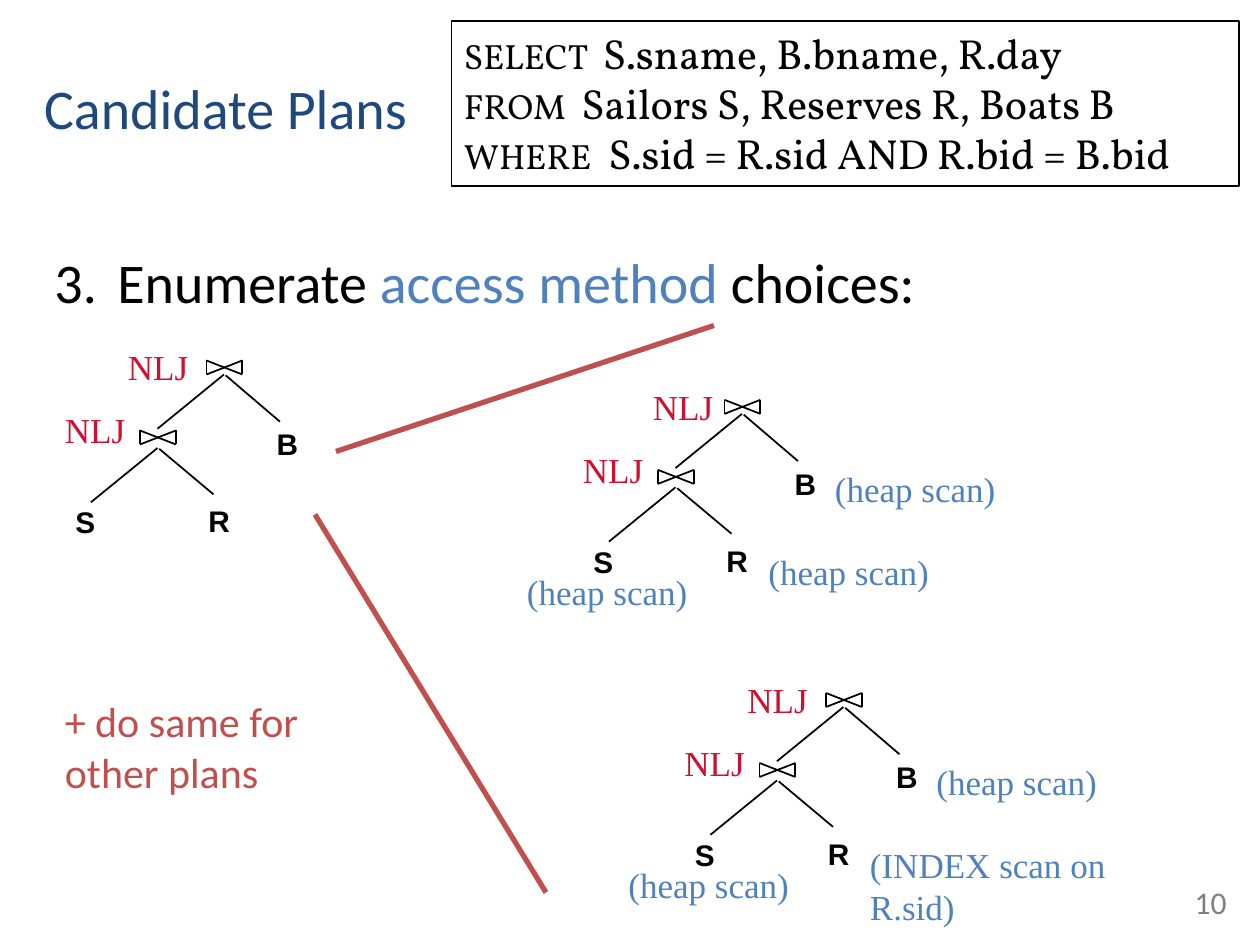
from pptx import Presentation
from pptx.dml.color import RGBColor
from pptx.enum.shapes import MSO_CONNECTOR as Connector, MSO_SHAPE as Shape
from pptx.enum.text import MSO_ANCHOR as Anchor, MSO_AUTO_SIZE as AutoSize, PP_ALIGN as Align
from pptx.oxml.ns import qn
from pptx.util import Pt
from lxml.etree import SubElement

BLACK = RGBColor(0x00, 0x00, 0x00)
NAVY = RGBColor(0x1F, 0x49, 0x7D)
BLUE = RGBColor(0x4F, 0x81, 0xBD)
BRICK = RGBColor(0xC0, 0x50, 0x4D)
CRIMSON = RGBColor(0xCF, 0x0E, 0x30)
GRAY = RGBColor(0x7F, 0x7F, 0x7F)


def style(span, size, font, color, bold=False):
    """Set the look of one run."""
    span.font.size = Pt(size)
    span.font.name = font
    span.font.color.rgb = color
    span.font.bold = bold


def add_text(page, place, text, size, font, color, bold=False, wrap=True,
             anchor=Anchor.TOP, align=Align.LEFT):
    """Add a text box with a single style."""
    box = page.shapes.add_textbox(*map(Pt, place))
    frame = box.text_frame
    frame.text = text
    frame.word_wrap = wrap
    frame.vertical_anchor = anchor
    if not wrap:
        frame.auto_size = AutoSize.SHAPE_TO_FIT_TEXT
    para = frame.paragraphs[0]
    para.alignment = align
    style(para.runs[0], size, font, color, bold)
    return box


def add_line(page, start, end, color=BLACK, width=1):
    """Draw a straight line between two points."""
    line = page.shapes.add_connector(Connector.STRAIGHT, *map(Pt, (*start, *end)))
    line.line.color.rgb = color
    line.line.width = Pt(width)
    SubElement(line._element.spPr, qn("a:effectLst"))


def add_join(page, left, top):
    """Draw a bow-tie join symbol."""
    right, bottom = left + 20.5, top + 8
    for start, end in (((left, top), (left, bottom)), ((right, top), (right, bottom)),
                       ((left, top), (right, bottom)), ((left, bottom), (right, top))):
        add_line(page, start, end)


def add_plan(page, left, top, upper_x=30, scans=()):
    """Draw a join tree with its join methods and access methods."""
    for x, y in ((44, 40), (82, 0)):
        add_join(page, left + x, top + y)
    for x1, y1, x2, y2 in ((54, 39, 92, 8), (93, 8.5, 124, 35),
                           (16, 81, 54, 50), (55, 50.5, 86, 76.5)):
        add_line(page, (left + x1, top + y1), (left + x2, top + y2))
    for name, x, y in (("R", 76, 78), ("S", 0, 78.5), ("B", 115, 34)):
        add_text(page, (left + x, top + y, 26.5, 27.5), name, 17, "Arial", BLACK, True, False)
    for x, y in ((upper_x, -12), (-6, 24)):
        add_text(page, (left + x, top + y, 49, 31), "NLJ", 20, "Times New Roman",
                 CRIMSON, wrap=False)
    for scan, (x, y) in zip(scans, ((100, 82.5), (138, 35), (-38, 94))):
        long = len(scan) > 12
        add_text(page, (left + x, top + y, 195 if long else 106, 31), scan, 20,
                 "Times New Roman", BLUE, wrap=long)


def add_query(page, left, top, width, height):
    """Add the framed query."""
    box = page.shapes.add_shape(Shape.RECTANGLE, *map(Pt, (left, top, width, height)))
    box.shadow.inherit = False
    box.fill.background()
    box.line.color.rgb = BLACK
    box.line.width = Pt(1)
    frame = box.text_frame
    frame.word_wrap = True
    frame.vertical_anchor = Anchor.TOP
    clauses = (("SELECT ", " S.sname, B.bname, R.day"),
               ("FROM ", " Sailors S, Reserves R, Boats B"),
               ("WHERE", "  S.sid = R.sid AND R.bid = B.bid"))
    for index, clause in enumerate(clauses):
        para = frame.add_paragraph() if index else frame.paragraphs[0]
        para.alignment = Align.LEFT
        for text, size in zip(clause, (20, 24)):
            span = para.add_run()
            span.text = text
            style(span, size, "Vollkorn", BLACK)


def add_step(page, left, top, width, height):
    """Add the numbered step with its highlighted words."""
    box = add_text(page, (left, top, width, height), "Enumerate ", 32, "Calibri", BLACK)
    para = box.text_frame.paragraphs[0]
    para.space_before = Pt(6.4)
    for text, color in (("access method", BLUE), (" choices:", BLACK)):
        span = para.add_run()
        span.text = text
        style(span, 32, "Calibri", color)
    props = para._p.get_or_add_pPr()
    props.set("marL", str(Pt(36)))
    props.set("indent", str(-Pt(36)))
    SubElement(props, qn("a:buFont"), typeface="+mj-lt")
    SubElement(props, qn("a:buAutoNum"), type="arabicPeriod", startAt="3")


def build():
    """Build and save the slide."""
    deck = Presentation()
    deck.slide_width, deck.slide_height = Pt(720), Pt(540)
    page = deck.slides.add_slide(deck.slide_layouts[6])
    add_step(page, 24, 138, 666, 66)
    add_query(page, 258, 12, 450, 94.5)
    add_line(page, (192, 258), (408, 186), BRICK, 3)
    add_line(page, (180, 294), (312, 510), BRICK, 3)
    heap = "(heap scan)"
    add_plan(page, 36, 206)
    add_plan(page, 332, 228.5, 34, (heap, heap, heap))
    add_plan(page, 390, 396, 30, ("(INDEX scan on R.sid)", heap, heap))
    add_text(page, (30, 394, 180, 65.5), "+ do same for other plans", 24, "Calibri", BRICK)
    add_text(page, (6, 6, 246, 78), "Candidate Plans", 32, "Calibri", NAVY,
             anchor=Anchor.BOTTOM, align=Align.CENTER)
    add_text(page, (516, 492, 192, 37.5), "10", 18, "Calibri", GRAY,
             anchor=Anchor.BOTTOM, align=Align.RIGHT)
    deck.save("out.pptx")


build()
